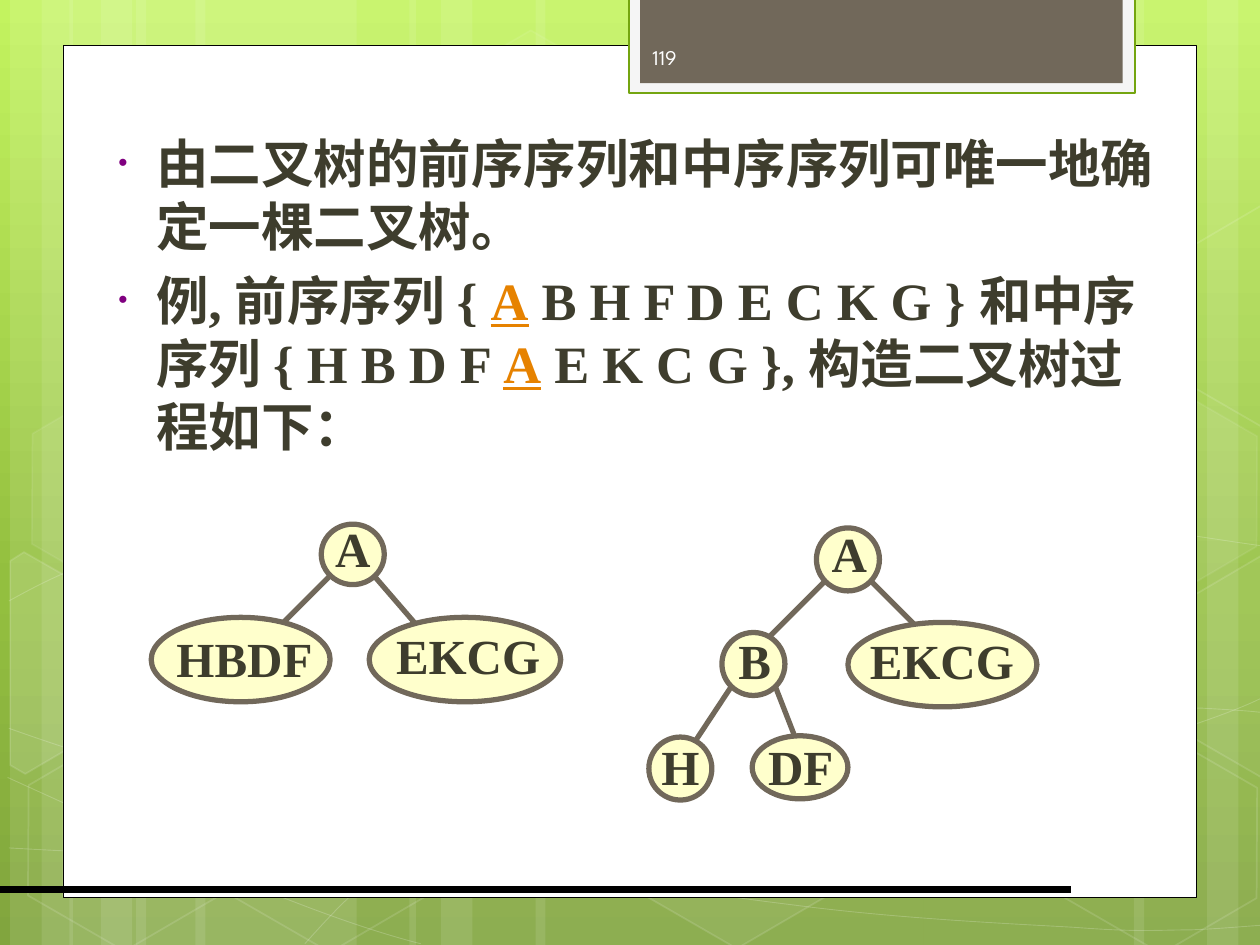
"""Build a slide on reconstructing a binary tree from its preorder and inorder sequences."""
import math
from copy import deepcopy

from lxml import etree
from pptx import Presentation
from pptx import util as u
from pptx.dml.color import RGBColor
from pptx.enum import shapes, text
from pptx.oxml.ns import qn

THEME = {
    "white": "FFFFFF", "black": "000000", "ink": "3E3D2D", "accent": "E68200",
    "bullet": "800080", "node": "FFFFCC", "brown": "71685A", "tab": "F5F5F5",
    "tab_line": "74A510", "number": "FEFEFE",
    "serif": "Times New Roman", "sans": "League Spartan",
    "body_size": 30, "label_size": 28, "number_size": 12,
}
BACKDROP = [(0, "C3F35F"), (0.62, "93BF3F"), (1, "81A53E")]

BODY = [
    [("由二叉树的前序序列和中序序列可唯一地确定一棵二叉树。", "ink")],
    [("例, 前序序列 { ", "ink"), ("A", "accent"),
     (" B H F D E C K G } 和中序序列 { H B D F ", "ink"), ("A", "accent"),
     (" E K C G }, 构造二叉树过程如下：", "ink")],
]

TREES = [
    {"edges": [(2.96, 4.56, 3.4, 5.07), (2.63, 4.56, 2.13, 5.06)],
     "nodes": [("A", (2.55, 4.16, 0.5, 0.48), (2.56, 4.06, 0.48)),
               ("HBDF", (1.2, 4.9, 1.42, 0.67), (1.3, 4.94, 1.28)),
               ("EKCG", (2.93, 4.9, 1.52, 0.67), (3.04, 4.91, 1.35))]},
    {"edges": [(6.15, 5.44, 6.31, 5.85), (5.81, 5.44, 5.48, 5.94),
               (6.56, 4.6, 6.06, 5.1), (6.9, 4.6, 7.4, 5.1)],
     "nodes": [("A", (6.48, 4.19, 0.5, 0.5), (6.5, 4.1, 0.48)),
               ("EKCG", (6.73, 4.94, 1.5, 0.67), (6.8, 4.95, 1.35)),
               ("B", (5.73, 5.02, 0.5, 0.5), (5.76, 4.95, 0.46)),
               ("H", (5.15, 5.85, 0.5, 0.5), (5.15, 5.79, 0.5)),
               ("DF", (5.97, 5.84, 0.76, 0.5), (5.98, 5.79, 0.75))]},
]
LABEL_HEIGHT = 0.57

STRIPES = [(1.08, 1.75), (0.08, 0.5), (0.33, 0.83), (1.55, 1.75), (0.55, 0.5), (0.8, 0.83),
           (7.33, 1.75), (9.58, 0.5), (9, 0.83), (4.25, 3.08), (3.25, 0.5), (3.5, 0.83)]
CURVES = [
    [(0.07, 6.73), (0.61, 6.76), (1.15, 6.79), (1.9, 6.78), (2.65, 6.77), (3.58, 6.75),
     (4.58, 6.65), (5.58, 6.55), (7, 6.36), (7.92, 6.17), (8.83, 5.98), (9.77, 5.68),
     (10.07, 5.51)],
    [(0.07, 4.77), (0.36, 4.61), (0.65, 4.46), (1.21, 4.31), (1.78, 4.16), (2.59, 3.94),
     (3.47, 3.87), (4.36, 3.8), (5.44, 3.79), (6.54, 3.87), (7.64, 3.95), (9.47, 4.26),
     (10.07, 4.34)],
    [(0.06, 6.17), (1.27, 6.72), (2.47, 7.27), (3.34, 7.49)],
    [(0.07, 5.78), (0.38, 5.89), (0.7, 6), (1.28, 6.16), (1.86, 6.31), (2.73, 6.56),
     (3.57, 6.73), (4.4, 6.9), (5.45, 7.08), (6.28, 7.18), (7.11, 7.29), (8, 7.33),
     (8.53, 7.36), (9.05, 7.4), (9.19, 7.38), (9.45, 7.38), (9.71, 7.37), (9.89, 7.35),
     (10.07, 7.34)],
    [(2.42, 7.49), (2.6, 7.29), (2.78, 7.09), (3.02, 6.91), (3.26, 6.73), (3.6, 6.53),
     (3.88, 6.39), (4.16, 6.25), (4.33, 6.19), (4.7, 6.09), (5.06, 5.99), (5.73, 5.85),
     (6.08, 5.78), (6.44, 5.71), (6.49, 5.71), (6.8, 5.69), (7.11, 5.66), (7.6, 5.63),
     (7.94, 5.62), (8.29, 5.61), (8.86, 5.62), (8.86, 5.62), (8.86, 5.62), (9.53, 5.62),
     (9.53, 5.62), (9.71, 5.63), (9.88, 5.64), (9.97, 5.65), (10.06, 5.66), (10.03, 5.65),
     (10.06, 5.66)],
]
TILT = 30
HEXAGONS = [(3.34, 0.36, 4, 8), (4.97, 5.89, 6, 12), (0.11, 5.91, 0, 12), (0.14, 3.12, 7, 8),
            (1.74, 5.92, 0, 12), (7.53, 4.53, 10, 12), (8.34, 5.93, 0, 12), (8.34, 3.14, 7, 8)]
CUT_HEXAGONS = [
    ([(0.08, 4.45), (0.19, 4.38), (0.96, 4.82), (0.95, 5.7), (0.2, 6.14), (0.08, 6.07)],
     (0.36, 5.35), 10),
    ([(9.26, 4.85), (10.01, 4.41), (10.09, 4.46), (10.09, 6.13), (10.02, 6.17), (9.26, 5.73)],
     (9.85, 5.2), 4),
    ([(9.26, 2.07), (10.01, 1.63), (10.1, 1.68), (10.09, 3.35), (10.02, 3.39), (9.26, 2.95)],
     (9.85, 2.41), 0),
]


def color(name):
    return RGBColor.from_string(THEME[name])


def paint(shape, fill=None, line=None, width=1, fill_alpha=100, line_alpha=100):
    shape.shadow.inherit = False
    for part, name, alpha in ((shape.fill, fill, fill_alpha), (shape.line.fill, line, line_alpha)):
        if not name or not alpha:
            part.background()
            continue
        part.solid()
        part.fore_color.rgb = color(name)
        if alpha < 100:
            solid = shape.element.spPr.find(qn("a:solidFill") if part is shape.fill
                                            else qn("a:ln") + "/" + qn("a:solidFill"))
            etree.SubElement(solid[0], qn("a:alpha"), val=str(alpha * 1000))
    if line:
        shape.line.width = u.Pt(width)


def add_preset(parent, kind, box, **style):
    shape = parent.shapes.add_shape(kind, *map(u.Inches, box))
    paint(shape, **style)
    return shape


def add_outline(parent, points, close, **style):
    corners = [(u.Inches(x), u.Inches(y)) for x, y in points]
    builder = parent.shapes.build_freeform(*corners[0])
    builder.add_line_segments(corners[1:], close=close)
    shape = builder.convert_to_shape()
    paint(shape, **style)
    return shape


def add_curve(parent, points, **style):
    shape = add_outline(parent, points, False, **style)
    segments = list(shape.element.iter(qn("a:lnTo")))
    for start in range(0, len(segments), 3):
        curve = etree.Element(qn("a:cubicBezTo"))
        segments[start].addprevious(curve)
        for segment in segments[start:start + 3]:
            curve.append(segment[0])
            segment.getparent().remove(segment)


def turn(point, center, degrees):
    angle = math.radians(degrees)
    x, y = point[0] - center[0], point[1] - center[1]
    return (center[0] + x * math.cos(angle) - y * math.sin(angle),
            center[1] + x * math.sin(angle) + y * math.cos(angle))


def add_line(parent, ends, name, width):
    line = parent.shapes.add_connector(shapes.MSO_CONNECTOR.STRAIGHT, *map(u.Inches, ends))
    line.line.color.rgb = color(name)
    line.line.width = u.Pt(width)
    etree.SubElement(line.element.spPr, qn("a:effectLst"))


def set_font(font, face, size, name, bold=False):
    font.name, font.size, font.bold = THEME[face], u.Pt(THEME[size]), bold
    font.color.rgb = color(name)


def add_label(parent, words, box, face, size, name, bold, align, wrap):
    frame = parent.shapes.add_textbox(*map(u.Inches, box)).text_frame
    frame.word_wrap = wrap
    frame.vertical_anchor = text.MSO_ANCHOR.MIDDLE
    para = frame.paragraphs[0]
    para.text, para.alignment = words, align
    set_font(para.font, face, size, name, bold)


def add_backdrop(page):
    fill = page.background.fill
    fill.gradient()
    fill.gradient_angle = 270
    stops = page.element.find(".//" + qn("a:gsLst"))
    stops.append(deepcopy(stops[-1]))
    for stop, (position, value) in zip(fill.gradient_stops, BACKDROP):
        stop.position, stop.color.rgb = position, RGBColor.from_string(value)
    kinds = shapes.MSO_SHAPE
    group = page.shapes.add_group_shape()
    for left, width in STRIPES:
        add_preset(group, kinds.RECTANGLE, (left, 0, width, 7.5), fill="white", fill_alpha=10)
    for points in CURVES:
        add_curve(group, points, line="white", width=0.5, line_alpha=20)
    for left, top, fill_alpha, line_alpha in HEXAGONS:
        hexagon = add_preset(group, kinds.HEXAGON, (left, top, 1.75, 1.52), fill="white",
                             line="white", fill_alpha=fill_alpha, line_alpha=line_alpha)
        hexagon.adjustments[0] = 0.285
        hexagon.rotation = TILT
    for points, center, alpha in CUT_HEXAGONS:
        upright = [turn(point, center, -TILT) for point in points]
        add_outline(group, upright, True, fill="white", line="white",
                    fill_alpha=alpha, line_alpha=12).rotation = TILT
    add_preset(page, kinds.RECTANGLE, (0.5, 0.36, 9, 6.76), fill="white", line="black", width=0.5)
    add_preset(page, kinds.RECTANGLE, (4.99, -0.02, 4.02, 0.76), fill="tab", line="tab_line",
               width=1.25)
    add_preset(page, kinds.RECTANGLE, (5.08, -0.02, 3.83, 0.68), fill="brown")
    add_line(page, (0, 7.06, 8.5, 7.06), "black", 4.5)


def fill_body(body):
    body.left, body.top, body.width, body.height = map(u.Inches, (0.76, 0.99, 8.61, 2.88))
    body.element.getparent().append(body.element)
    frame = body.text_frame
    frame.word_wrap, frame.auto_size = True, text.MSO_AUTO_SIZE.NONE
    for index, spans in enumerate(BODY):
        para = frame.add_paragraph() if index else frame.paragraphs[0]
        props = para._p.get_or_add_pPr()
        props.set("marL", str(u.Inches(0.38)))
        props.set("indent", str(u.Inches(-0.3)))
        tint = etree.SubElement(props, qn("a:buClr"))
        etree.SubElement(tint, qn("a:srgbClr"), val=THEME["bullet"])
        etree.SubElement(props, qn("a:buSzPct"), val="50000")
        etree.SubElement(props, qn("a:buChar"), char="•")
        para.space_before = u.Pt(6 if index else 0)
        set_font(para.font, "serif", "body_size", "ink", True)
        for words, name in spans:
            span = para.add_run()
            span.text = words
            if name == "accent":
                span.font.color.rgb = color(name)
                span.font.underline = True


def add_tree(page, tree):
    group = page.shapes.add_group_shape()
    for ends in tree["edges"]:
        add_line(group, ends, "brown", 3)
    for words, oval, label in tree["nodes"]:
        add_preset(group, shapes.MSO_SHAPE.OVAL, oval, fill="node", line="brown", width=3)
        add_label(group, words, (*label, LABEL_HEIGHT), "serif", "label_size", "ink", True,
                  text.PP_ALIGN.CENTER, False)


def main():
    deck = Presentation()
    deck.slide_width, deck.slide_height = u.Inches(10), u.Inches(7.5)
    page = deck.slides.add_slide(deck.slide_layouts[1])
    title, body = page.placeholders
    title.element.getparent().remove(title.element)
    add_backdrop(page)
    fill_body(body)
    add_label(page, "119", (5.08, 0.25, 1.46, 0.4), "sans", "number_size", "number", False,
              text.PP_ALIGN.LEFT, True)
    for tree in TREES:
        add_tree(page, tree)
    deck.save("out.pptx")


if __name__ == "__main__":
    main()
